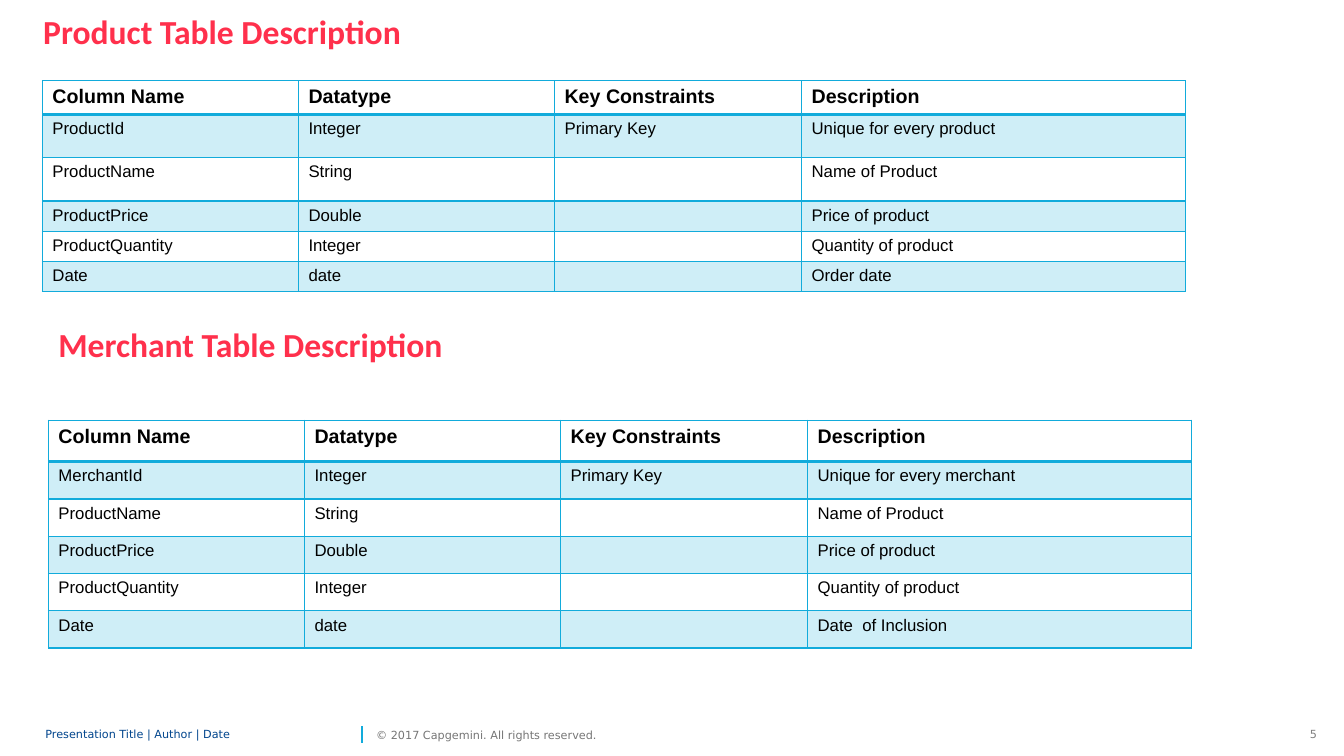
from lxml.etree import SubElement
from pptx import Presentation
from pptx.dml.color import RGBColor
from pptx.enum.shapes import MSO_CONNECTOR
from pptx.enum.text import MSO_ANCHOR, PP_ALIGN
from pptx.oxml.ns import qn
from pptx.util import Inches, Pt

CYAN = "12ABDB"
COLUMN_WIDTHS = [2.54, 2.54, 2.45, 3.81]
HEADINGS = ["Column Name", "Datatype", "Key Constraints", "Description"]
SHARED_FIELDS = [
    ["ProductName", "String", "", "Name of Product"],
    ["ProductPrice", "Double", "", "Price of product"],
    ["ProductQuantity", "Integer", "", "Quantity of product"],
]


def color(hex_value):
    return RGBColor.from_string(hex_value)


class SchemaSlide:
    TITLE = {"name": "Calibri", "size": Pt(24), "bold": True, "color": "FF304C"}
    HEADING = {"name": "Arial", "size": Pt(14), "bold": True, "color": "000000"}
    BODY = {"name": "Arial", "size": Pt(12), "bold": False, "color": "000000"}
    FOOTER = {"name": "DejaVu Sans", "size": Pt(8)}

    def __init__(self, deck):
        self.slide = deck.slides.add_slide(deck.slide_layouts[6])

    def styled_run(self, paragraph, text, style):
        run = paragraph.add_run()
        run.text = text
        for attribute, value in style.items():
            if attribute == "color":
                run.font.color.rgb = color(value)
            else:
                setattr(run.font, attribute, value)

    def text(self, box, text, style, frame_format=None, paragraph_format=None):
        frame = self.slide.shapes.add_textbox(*map(Inches, box)).text_frame
        for attribute, value in {"word_wrap": True, **(frame_format or {})}.items():
            setattr(frame, attribute, value)
        paragraph = frame.paragraphs[0]
        for attribute, value in (paragraph_format or {}).items():
            setattr(paragraph, attribute, value)
        self.styled_run(paragraph, text, style)

    def title(self, box, text):
        self.text(box, text, self.TITLE)

    def footer(self, box, text, hex_value, wrap=True, spacing=1.0):
        margins = dict.fromkeys(
            ["margin_left", "margin_top", "margin_right", "margin_bottom"], 0)
        self.text(box, text, {**self.FOOTER, "color": hex_value},
                  {**margins, "word_wrap": wrap, "vertical_anchor": MSO_ANCHOR.MIDDLE},
                  {"line_spacing": spacing})

    def page_number(self, box, text):
        self.text(box, text, {**self.FOOTER, "color": "808080"},
                  {"word_wrap": False}, {"alignment": PP_ALIGN.RIGHT})

    def divider(self, x, top, bottom):
        line = self.slide.shapes.add_connector(
            MSO_CONNECTOR.STRAIGHT, *map(Inches, (x, bottom, x, top)))
        line.line.color.rgb = color(CYAN)
        line.line.width = Pt(1)
        SubElement(line._element.spPr, qn("a:effectLst"))

    def borders(self, cell, row):
        properties = cell._tc.get_or_add_tcPr()
        widths = {"L": 1, "R": 1, "T": 2 if row == 1 else 1, "B": 2 if row == 0 else 1}
        for side, width in widths.items():
            edge = SubElement(properties, qn(f"a:ln{side}"), w=str(Pt(width)))
            SubElement(SubElement(edge, qn("a:solidFill")), qn("a:srgbClr"), val=CYAN)

    def shade(self, cell, banded):
        if not banded:
            cell.fill.background()
            return
        cell.fill.solid()
        cell.fill.fore_color.rgb = color(CYAN)
        tint = cell._tc.tcPr.find(qn("a:solidFill")).find(qn("a:srgbClr"))
        SubElement(tint, qn("a:alpha"), val="20000")

    def table(self, left, top, row_heights, fields):
        rows = [HEADINGS, *fields]
        table = self.slide.shapes.add_table(
            len(rows), len(HEADINGS), Inches(left), Inches(top),
            Inches(sum(COLUMN_WIDTHS)), Inches(sum(row_heights))).table
        table.first_row = table.horz_banding = False
        for column, width in zip(table.columns, COLUMN_WIDTHS):
            column.width = Inches(width)
        for r, (height, values) in enumerate(zip(row_heights, rows)):
            table.rows[r].height = Inches(height)
            for c, value in enumerate(values):
                cell = table.cell(r, c)
                self.borders(cell, r)
                self.shade(cell, r % 2 == 1)
                paragraph = cell.text_frame.paragraphs[0]
                if value:
                    self.styled_run(paragraph, value, self.BODY if r else self.HEADING)
                else:
                    SubElement(paragraph._p, qn("a:endParaRPr"), sz="1200")


def main():
    deck = Presentation()
    deck.slide_width, deck.slide_height = Inches(13.33), Inches(7.5)
    page = SchemaSlide(deck)

    page.page_number((12.89, 7.17, 0.27, 0.24), "5")
    page.divider(3.59, 7.2, 7.37)
    page.footer((0.45, 7.17, 3.09, 0.24), "Presentation Title | Author | Date",
                "00458D", spacing=0.85)
    page.footer((3.73, 7.17, 2.43, 0.24), "© 2017 Capgemini. All rights reserved.",
                "767676", wrap=False)

    page.table(0.42, 0.8, [0.33] + [0.43] * 2 + [0.29] * 3, [
        ["ProductId", "Integer", "Primary Key", "Unique for every product"],
        *SHARED_FIELDS,
        ["Date", "date", "", "Order date"],
    ])
    page.title((0.33, 0.06, 7.21, 0.5), "Product Table Description")

    page.table(0.48, 4.17, [0.41] + [0.37] * 5, [
        ["MerchantId", "Integer", "Primary Key", "Unique for every merchant"],
        *SHARED_FIELDS,
        ["Date", "date", "", "Date  of Inclusion"],
    ])
    page.title((0.48, 3.16, 7.6, 0.5), "Merchant Table Description")

    deck.save("out.pptx")


if __name__ == "__main__":
    main()
